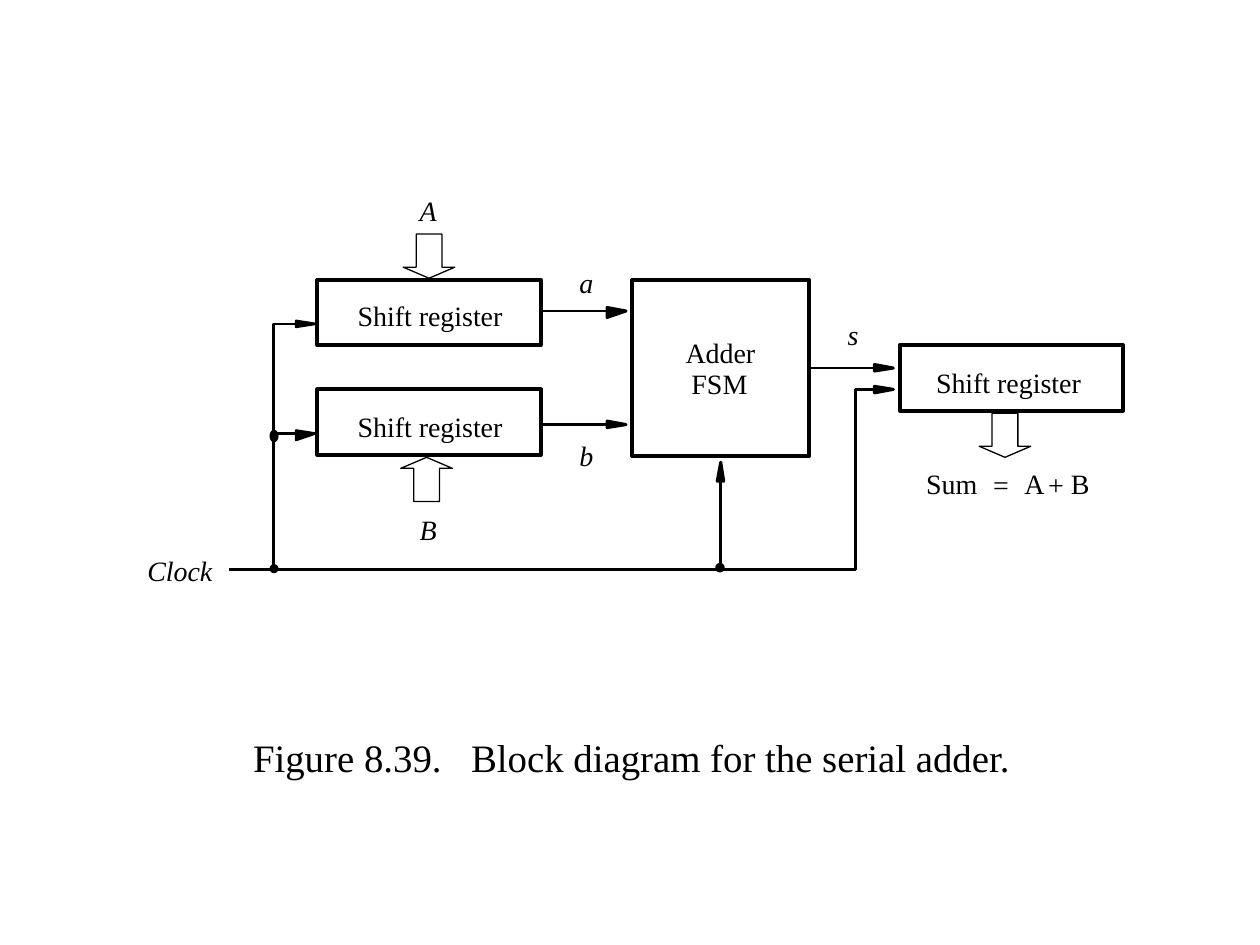
import pptx
import pptx.dml.color
import pptx.enum.shapes
import pptx.enum.text
import pptx.oxml.ns
import pptx.util
from lxml import etree

Cm = pptx.util.Cm
Pt = pptx.util.Pt
Shape = pptx.enum.shapes.MSO_SHAPE

BLACK = pptx.dml.color.RGBColor(0, 0, 0)
FONT = {"name": "Times New Roman", "size": Pt(16)}
CAPTION = {**FONT, "size": Pt(22.2)}
ITALIC = {**FONT, "italic": True}
FRAME_INSETS = ("margin_left", "margin_top", "margin_right", "margin_bottom")
LABEL_HEIGHT = 0.69
HEAD_LENGTH = 0.38
REGISTER = (4.5, 1.32)
DATA_X, ADDER_X, CLOCK_X, CLOCK_Y = 12.24, 14.53, 5.51, 11.48


def apply_format(target, values):
    """Set every attribute in values on the target."""
    for name, value in values.items():
        setattr(target, name, value)


def add_span(para, text, values):
    """Append a black run with the given font values."""
    span = para.add_run()
    span.text = text
    apply_format(span.font, values)
    span.font.color.rgb = BLACK
    return span


def draw_outline(shape, width, filled=False):
    """Give a shape a black line and either a black fill or none."""
    shape.shadow.inherit = False
    shape.line.color.rgb = BLACK
    shape.line.width = Pt(width)
    if filled:
        shape.fill.solid()
        shape.fill.fore_color.rgb = BLACK
    else:
        shape.fill.background()


def add_preset(page, kind, place, width, filled=False):
    """Add a preset shape at a place in centimetres."""
    shape = page.shapes.add_shape(kind, *map(Cm, place))
    draw_outline(shape, width, filled)
    return shape


def add_block_arrow(page, kind, left, top):
    """Add a hollow arrow for a parallel load or result."""
    arrow = add_preset(page, kind, (left, top, 1.04, 0.89), 0.75)
    arrow.adjustments[0], arrow.adjustments[1] = 0.5, 0.25


def add_path(page, points, width, closed=False):
    """Add an open bent wire or a closed filled outline."""
    corners = [(Cm(x), Cm(y)) for x, y in points]
    builder = page.shapes.build_freeform(*corners[0], scale=1.0)
    builder.add_line_segments(corners[1:], close=closed)
    draw_outline(builder.convert_to_shape(), width, closed)


def add_head(page, x, y, before, after, width=1.75, upward=False):
    """Add a slim arrowhead whose base centre is at x, y."""
    if upward:
        points = [(x + after, y), (x, y - HEAD_LENGTH), (x - before, y)]
    else:
        points = [(x, y + after), (x + HEAD_LENGTH, y), (x, y - before)]
    add_path(page, points, width, closed=True)


def add_wire(page, start, end):
    """Add a straight wire between two points."""
    wire = page.shapes.add_connector(
        pptx.enum.shapes.MSO_CONNECTOR.STRAIGHT, *map(Cm, start + end))
    wire.line.color.rgb = BLACK
    wire.line.width = Pt(1.5)
    etree.SubElement(wire._element.spPr, pptx.oxml.ns.qn("a:effectLst"))


def add_label(page, text, left, top, width, values=FONT):
    """Add a tight one-line text label."""
    box = page.shapes.add_textbox(*map(Cm, (left, top, width, LABEL_HEIGHT)))
    frame = box.text_frame
    apply_format(frame, dict.fromkeys(FRAME_INSETS, 0))
    apply_format(frame, {"word_wrap": False,
                         "auto_size": pptx.enum.text.MSO_AUTO_SIZE.SHAPE_TO_FIT_TEXT})
    add_span(frame.paragraphs[0], text, values)


def add_caption(page, number, text):
    """Put the figure number and caption in the title placeholder."""
    title = page.shapes.title
    apply_format(title, {"left": Cm(2.46), "top": Cm(14.66),
                         "width": Cm(20.55), "height": Cm(1.27)})
    apply_format(title.text_frame, {
        "word_wrap": True,
        "auto_size": pptx.enum.text.MSO_AUTO_SIZE.NONE,
        "vertical_anchor": pptx.enum.text.MSO_ANCHOR.TOP})
    para = title.text_frame.paragraphs[0]
    para.alignment = pptx.enum.text.PP_ALIGN.CENTER
    add_span(para, number, CAPTION)
    gap = add_span(para, " ", CAPTION)
    gap._r.get_or_add_rPr().set("spc", "1110")
    add_span(para, text, CAPTION)


def add_blocks(page):
    """Draw the registers, the adder and the parallel arrows."""
    for left, top, text_left, text_top in (
            (6.4, 5.64, 7.21, 6.02), (6.4, 7.85, 7.21, 8.26), (18.14, 6.96, 18.87, 7.37)):
        add_preset(page, Shape.RECTANGLE, (left, top, *REGISTER), 2.25)
        add_label(page, "Shift register", text_left, text_top, 3.05)
    add_preset(page, Shape.RECTANGLE, (12.75, 5.64, 3.56, 3.56), 2.25)
    add_label(page, "Adder", 13.82, 6.76, 1.55)
    add_label(page, "FSM", 13.94, 7.39, 1.27)
    add_block_arrow(page, Shape.UP_ARROW, 8.08, 9.22)
    add_block_arrow(page, Shape.DOWN_ARROW, 8.13, 4.72)
    add_block_arrow(page, Shape.DOWN_ARROW, 19.74, 8.33)


def add_wiring(page):
    """Draw the data and clock wires with heads and junctions."""
    for start, end in (
            ((DATA_X, 6.27), (10.9, 6.27)), ((DATA_X, 8.56), (10.9, 8.56)),
            ((17.63, 7.42), (16.28, 7.42)), ((5.97, 8.74), (CLOCK_X, 8.74)),
            ((ADDER_X, 9.7), (ADDER_X, CLOCK_Y))):
        add_wire(page, start, end)
    add_path(page, [(17.63, 7.85), (17.25, 7.85), (17.25, CLOCK_Y), (4.62, CLOCK_Y)], 1.5)
    add_path(page, [(5.97, 6.53), (CLOCK_X, 6.53), (CLOCK_X, CLOCK_Y)], 1.5)
    for x, y, before, after, width in (
            (DATA_X, 6.27, 0.07, 0.13, 1.75), (DATA_X, 8.56, 0.07, 0.06, 1.75),
            (17.63, 7.42, 0.07, 0.06, 1.75), (17.63, 7.85, 0.06, 0.07, 1.75),
            (5.97, 6.53, 0.06, 0.06, 1.5), (5.97, 8.74, 0.06, 0.13, 1.5)):
        add_head(page, x, y, before, after, width)
    add_head(page, ADDER_X, 9.7, 0.07, 0.06, upward=True)
    for left, top, height, width in (
            (14.45, 11.38, 0.13, 1.75), (5.46, 8.69, 0.2, 1.5), (5.46, 11.4, 0.13, 1.5)):
        add_preset(page, Shape.OVAL, (left, top, 0.13, height), width, filled=True)


def add_signals(page):
    """Name the signals and write the sum."""
    for text, left, top, width in (
            ("A", 8.46, 3.91, 0.48), ("B", 8.46, 10.34, 0.48), ("a", 11.68, 5.36, 0.43),
            ("b", 11.68, 8.84, 0.43), ("s", 17.09, 6.4, 0.36), ("Clock", 2.97, 11.15, 1.45)):
        add_label(page, text, left, top, width, ITALIC)
    for text, left, top, width in (
            ("Sum", 18.67, 9.4, 1.17), ("=", 20.02, 9.42, 0.46), ("A", 20.65, 9.4, 0.56),
            ("+", 21.13, 9.42, 0.46), ("B", 21.59, 9.4, 0.51)):
        add_label(page, text, left, top, width)


def main():
    """Build the serial adder slide."""
    deck = pptx.Presentation()
    apply_format(deck, {"slide_width": Cm(25.4), "slide_height": Cm(19.05)})
    page = deck.slides.add_slide(deck.slide_layouts.get_by_name("Title Only"))
    add_caption(page, "Figure 8.39.", "Block diagram for the serial adder.")
    add_blocks(page)
    add_wiring(page)
    add_signals(page)
    deck.save("out.pptx")


if __name__ == "__main__":
    main()
